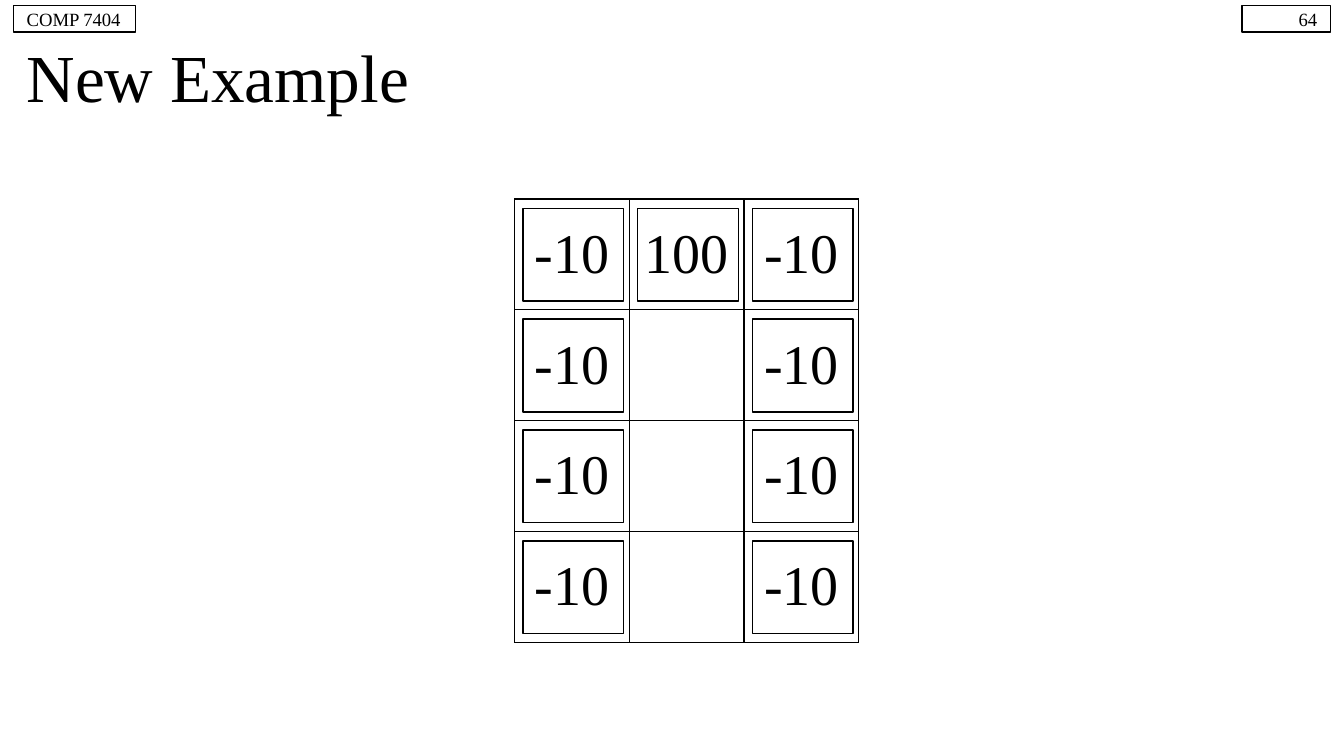
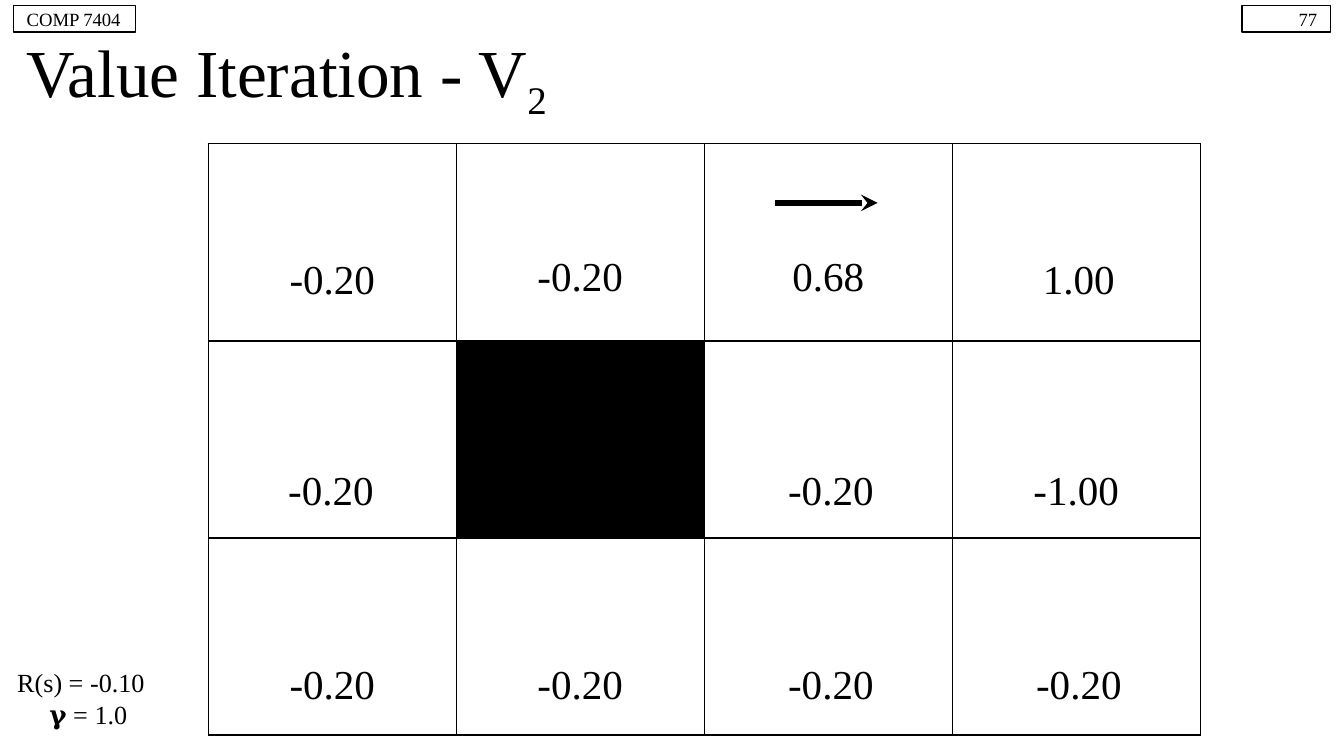
from lxml import etree
from pptx import Presentation
from pptx import util as u
from pptx.dml.color import RGBColor
from pptx.enum import shapes, text
from pptx.oxml import ns

INK = {"text": "000000", "line": "000000", "wall": "000000"}
FONT = "Times New Roman"
LEFT, MID, RIGHT = text.PP_ALIGN.LEFT, text.PP_ALIGN.CENTER, text.PP_ALIGN.RIGHT
REWARDS = [["-10", "100", "-10"]] + [["-10", "", "-10"]] * 3
VALUES = [
    [("-0.20", 0, 0.77), ("-0.20", 0, 0.75), ("0.68", 0, 0.75), ("1.00", 0.02, 0.77)],
    [("-0.20", -0.01, 0.87), None, ("-0.20", 0.02, 0.87), ("-1.00", 0, 0.87)],
    [("-0.20", 0, 0.85), ("-0.20", 0, 0.85), ("-0.20", 0.02, 0.85), ("-0.20", 0.02, 0.85)],
]


def hue(name):
    return RGBColor.from_string(INK[name])


def inch(*nums):
    return [u.Inches(n) for n in nums]


def style(run, size):
    run.font.size = u.Pt(size)
    run.font.name = FONT
    run.font.color.rgb = hue("text")


def write(frame, lines, size=10, align=LEFT, pad=0.1,
          anchor=text.MSO_ANCHOR.MIDDLE, dents=(), tail=0):
    frame.word_wrap = True
    frame.vertical_anchor = anchor
    frame.margin_left = frame.margin_right = u.Inches(pad)
    frame.margin_top = frame.margin_bottom = u.Inches(pad)
    for i, line in enumerate(lines):
        para = frame.paragraphs[0] if i == 0 else frame.add_paragraph()
        para.alignment = align
        props = para._p.get_or_add_pPr()
        if i < len(dents):
            props.set("marL", str(u.Inches(dents[i])))
        if tail:
            props.set("marR", str(u.Inches(tail)))
        for part, base in line if isinstance(line, list) else [(line, 0)]:
            run = para.add_run()
            run.text = part
            style(run, size)
            if base:
                run.font._element.set("baseline", str(base * 1000))


def label(slide, box, lines, **form):
    write(slide.shapes.add_textbox(*inch(*box)).text_frame, lines, **form)


def frame(slide, box, fill=None):
    rect = slide.shapes.add_shape(shapes.MSO_SHAPE.RECTANGLE, *inch(*box))
    rect.shadow.inherit = False
    if fill:
        rect.fill.solid()
        rect.fill.fore_color.rgb = hue(fill)
    else:
        rect.fill.background()
    rect.line.color.rgb = hue("line")
    rect.line.width = u.Pt(0.75)
    return rect


def edge(cell):
    props = cell._tc.get_or_add_tcPr()
    for side in ("lnL", "lnR", "lnT", "lnB"):
        line = etree.SubElement(props, ns.qn("a:" + side), w=str(u.Pt(0.75)))
        fill = etree.SubElement(line, ns.qn("a:solidFill"))
        etree.SubElement(fill, ns.qn("a:srgbClr"), val=INK["line"])
    cell.fill.background()


def grid(slide, box, rows, cols, words=None):
    x, y, w, h = box
    table = slide.shapes.add_table(rows, cols, *inch(*box)).table
    table.first_row = table.horz_banding = False
    for col in table.columns:
        col.width = u.Inches(w / cols)
    for row in table.rows:
        row.height = u.Inches(h / rows)
    for r in range(rows):
        for c in range(cols):
            cell = table.cell(r, c)
            edge(cell)
            if words and words[r][c]:
                cell.margin_left = cell.margin_right = u.Inches(0.1)
                cell.margin_top = cell.margin_bottom = u.Inches(0.1)
                cell.vertical_anchor = text.MSO_ANCHOR.MIDDLE
                para = cell.text_frame.paragraphs[0]
                para.alignment = MID
                run = para.add_run()
                run.text = words[r][c]
                style(run, 30)

    def spot(r, c):
        return x + c * w / cols, y + r * h / rows
    return spot


def arrow(slide, x, y, w):
    line = slide.shapes.add_connector(
        shapes.MSO_CONNECTOR.STRAIGHT, *inch(x, y, x + w, y))
    line.line.color.rgb = hue("line")
    line.line.width = u.Pt(3)
    etree.SubElement(line.line._get_or_add_ln(), ns.qn("a:tailEnd"), type="stealth")
    etree.SubElement(line._element.spPr, ns.qn("a:effectLst"))


def start(deck, title, page):
    slide = deck.slides.add_slide(deck.slide_layouts[6])
    label(slide, (0.1, 0.28, 9.8, 0.57), [title], size=36)
    write(frame(slide, (9.24, 0.04, 0.66, 0.2)).text_frame, [page], align=RIGHT)
    write(frame(slide, (0.1, 0.04, 0.91, 0.2)).text_frame, ["COMP 7404"])
    return slide


def rewards(slide, box):
    spot = grid(slide, box, 4, 3, REWARDS)
    for c in (0, 2, 1):
        for r in range(4):
            if REWARDS[r][c]:
                x, y = spot(r, c)
                frame(slide, (x + 0.06, y + 0.07, 0.75, 0.69))


def values(slide, box):
    spot = grid(slide, box, 3, 4)
    wide, high = box[2] / 4, box[3] / 3
    for r, row in enumerate(VALUES):
        for c, item in enumerate(row):
            x, y = spot(r, c)
            if item is None:
                frame(slide, (x, y, wide, high), "wall")
                continue
            word, dx, dy = item
            label(slide, (x + dx, y + dy, wide, 0.46), [word],
                  size=22, align=MID, pad=0.06, dents=[0.04], tail=0.04)
    x, y = spot(0, 2)
    arrow(slide, x + 0.53, y + 0.44, 0.76)


def main():
    deck = Presentation()
    deck.slide_width, deck.slide_height = inch(10, 10 * 9 / 16)
    rewards(start(deck, "New Example", "64"), (3.83, 1.48, 2.56, 3.3))
    slide = start(deck, [("Value Iteration - V", 0), ("2", -25)], "77")
    label(slide, (0.03, 4.86, 1.24, 0.71), ["R(s) = -0.10", "𝛄 = 1.0"],
          size=14, anchor=text.MSO_ANCHOR.TOP, dents=[0, 0.24])
    values(slide, (1.55, 1.07, 7.38, 4.4))
    deck.save("out.pptx")


if __name__ == "__main__":
    main()
